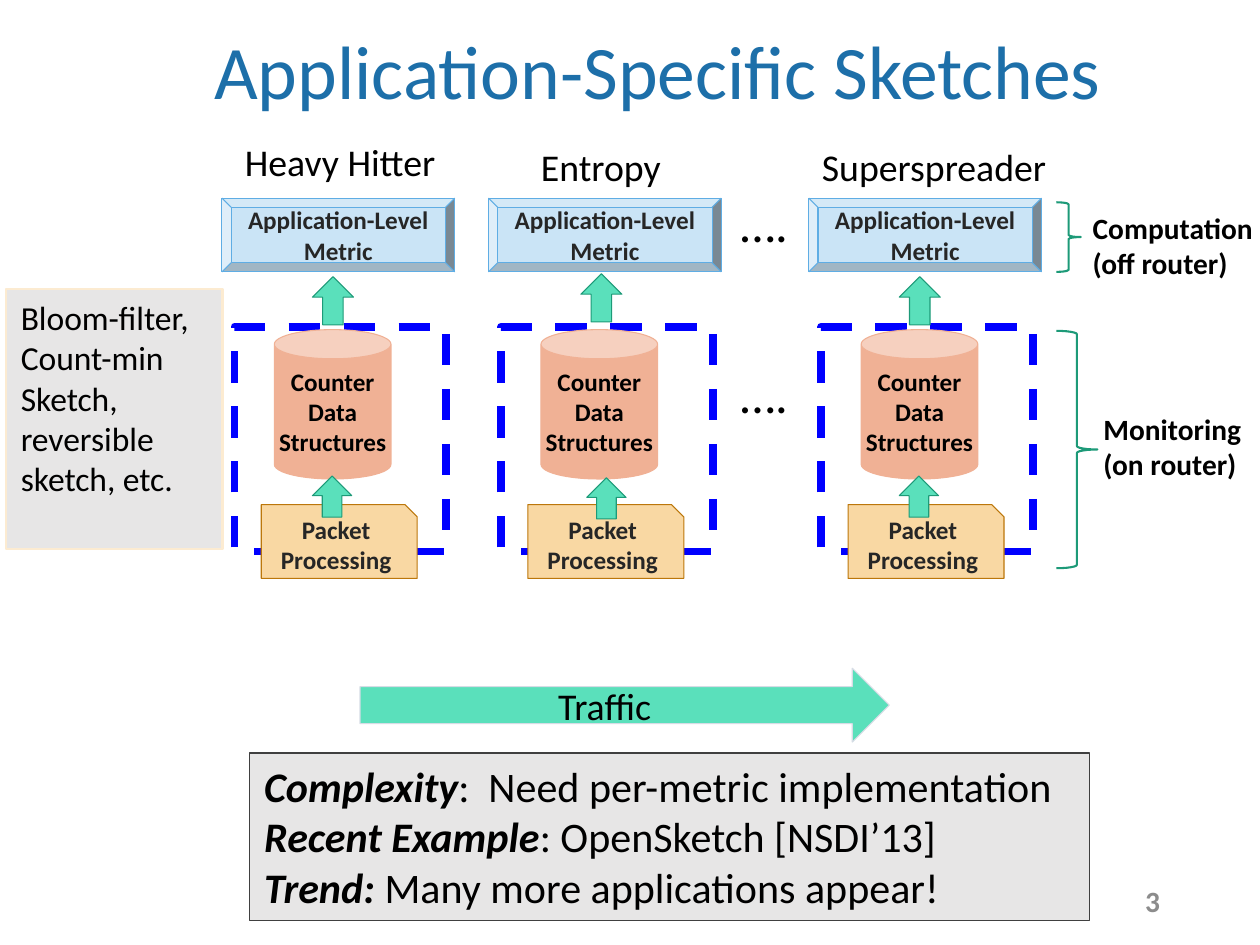
import pptx
import pptx.dml.color
import pptx.enum.dml
import pptx.enum.shapes
import pptx.enum.text
import pptx.util

Cm = pptx.util.Cm
Pt = pptx.util.Pt
SHAPES = pptx.enum.shapes.MSO_SHAPE
ALIGN = pptx.enum.text.PP_ALIGN
ANCHOR = pptx.enum.text.MSO_ANCHOR

FONT = "Calibri"
BLACK = "000000"
DARK = "262626"
GREY = "E7E6E6"
MINT = "5AE0BB"
GREEN = "1D9A78"
SALMON = "F0B195"


def color(hex_string):
    return pptx.dml.color.RGBColor.from_string(hex_string)


def write_text(shape, lines, size=12, text_color=BLACK, bold=False, align=ALIGN.LEFT,
               anchor=ANCHOR.TOP, side_insets=(0.25, 0.25), line_spacing=None):
    frame = shape.text_frame
    frame.word_wrap = True
    frame.vertical_anchor = anchor
    frame.margin_left, frame.margin_right = map(Cm, side_insets)
    frame.margin_top = frame.margin_bottom = Cm(0.13)
    for index, line in enumerate(lines):
        paragraph = frame.paragraphs[0] if index == 0 else frame.add_paragraph()
        paragraph.alignment = align
        if line_spacing:
            paragraph.line_spacing = line_spacing
        lead, rest = line if isinstance(line, tuple) else ("", line)
        for text, emphasis in ((lead, True), (rest, False)):
            if text:
                run = paragraph.add_run()
                run.text = text
                run.font.name = FONT
                run.font.size = Pt(size)
                run.font.bold = bold or emphasis
                run.font.italic = emphasis
                run.font.color.rgb = color(text_color)


def add_box(slide, kind, left, top, width, height, fill=None, line=BLACK,
            line_width=0.5, dashed=False):
    shape = slide.shapes.add_shape(kind, Cm(left), Cm(top), Cm(width), Cm(height))
    shape.shadow.inherit = False
    if fill:
        shape.fill.solid()
        shape.fill.fore_color.rgb = color(fill)
    else:
        shape.fill.background()
    shape.line.color.rgb = color(line)
    shape.line.width = Pt(line_width)
    if dashed:
        shape.line.dash_style = pptx.enum.dml.MSO_LINE.DASH
    return shape


def add_label(slide, lines, left, top, width, height, **text_format):
    label = slide.shapes.add_textbox(Cm(left), Cm(top), Cm(width), Cm(height))
    write_text(label, lines, **text_format)


def add_title(slide, text):
    title = slide.shapes.title
    title.left, title.top = Cm(3.15), Cm(0.48)
    title.width, title.height = Cm(15.8), Cm(1.57)
    write_text(title, [text], size=36, text_color="1D6FA9", align=ALIGN.CENTER,
               anchor=ANCHOR.MIDDLE, line_spacing=0.9)


def add_sketch(slide, left, metric_arrow, packet_arrow):
    centered = {"bold": True, "align": ALIGN.CENTER, "anchor": ANCHOR.MIDDLE}
    add_box(slide, SHAPES.RECTANGLE, left + 0.21, 5.49, 3.56, 3.78,
            line="0000FF", line_width=3.75, dashed=True)
    packet = add_box(slide, SHAPES.SNIP_1_RECTANGLE, left + 0.66, 8.48, 2.62, 1.24,
                     fill="F9D8A3", line="BC770B")
    write_text(packet, ["Packet", "Processing"], text_color=DARK,
               side_insets=(0.2, 0.2), **centered)
    counter = add_box(slide, SHAPES.CAN, left + 0.88, 5.54, 1.96, 2.51,
                      fill=SALMON, line=SALMON)
    write_text(counter, ["Counter", "Data Structures"], side_insets=(0, 0), **centered)
    metric = add_box(slide, SHAPES.BEVEL, left, 3.33, 3.91, 1.24,
                     fill="CAE4F6", line="5FADE4")
    write_text(metric, ["Application-Level", "Metric"], text_color=DARK, **centered)
    for (offset, top), width, height in ((metric_arrow, 0.69, 0.81),
                                         (packet_arrow, 0.66, 0.69)):
        add_box(slide, SHAPES.UP_ARROW, left + offset, top, width, height,
                fill=MINT, line=GREEN)


def add_stage(slide, lines, brace_place, label_place):
    add_box(slide, SHAPES.RIGHT_BRACE, *brace_place, line=GREEN, line_width=1)
    add_label(slide, lines, *label_place, size=14, bold=True, side_insets=(0.25, 0))


def main():
    presentation = pptx.Presentation()
    presentation.slide_width = Cm(21.17)
    presentation.slide_height = Cm(15.88)
    slide = presentation.slides.add_slide(presentation.slide_layouts[5])

    add_title(slide, "Application-Specific Sketches")

    examples = add_box(slide, SHAPES.RECTANGLE, 0.1, 4.86, 3.64, 4.37,
                       fill=GREY, line="FCEBD1", line_width=1)
    write_text(examples, ["Bloom-filter,", "Count-min Sketch,", "reversible sketch, etc."],
               size=16)

    outer_arrows = ((1.52, 4.65), (1.52, 8.0))
    middle_arrows = ((1.55, 4.6), (1.65, 8.03))
    add_sketch(slide, 3.73, *outer_arrows)
    add_sketch(slide, 8.21, *middle_arrows)
    add_sketch(slide, 13.59, *outer_arrows)

    for name, left, top, width, align in (
            ("Heavy Hitter", 3.66, 2.21, 4.11, ALIGN.CENTER),
            ("Entropy", 8.84, 2.29, 2.84, ALIGN.LEFT),
            ("Superspreader", 13.56, 2.29, 4.4, ALIGN.LEFT)):
        add_label(slide, [name], left, top, width, 1.02, size=18, align=align)

    for top in (3.1, 5.97):
        add_label(slide, ["…."], 12.19, top, 1.4, 1.27, size=24)

    add_stage(slide, ["Computation", "(off router)"],
              (17.75, 3.4, 0.41, 1.17), (18.11, 3.4, 3.06, 1.45))
    add_stage(slide, ["Monitoring", "(on router)"],
              (17.75, 5.56, 0.69, 3.99), (18.29, 6.78, 2.84, 1.45))

    traffic = add_box(slide, SHAPES.RIGHT_ARROW, 6.05, 11.23, 8.89, 1.24,
                      fill=MINT, line="D6DCE5")
    write_text(traffic, ["Traffic"], size=18, anchor=ANCHOR.MIDDLE, side_insets=(3.33, 0))

    summary = add_box(slide, SHAPES.RECTANGLE, 4.19, 12.65, 14.12, 2.82,
                      fill=GREY, line="404040", line_width=0.75)
    write_text(summary, [("Complexity", ":  Need per-metric implementation"),
                         ("Recent Example", ": OpenSketch [NSDI’13]"),
                         ("Trend: ", "Many more applications appear!")], size=20)

    add_label(slide, ["3"], 14.96, 14.71, 4.78, 0.84, size=14, text_color="8C8C8C",
              bold=True, align=ALIGN.RIGHT, anchor=ANCHOR.MIDDLE)

    presentation.save("out.pptx")


if __name__ == "__main__":
    main()
